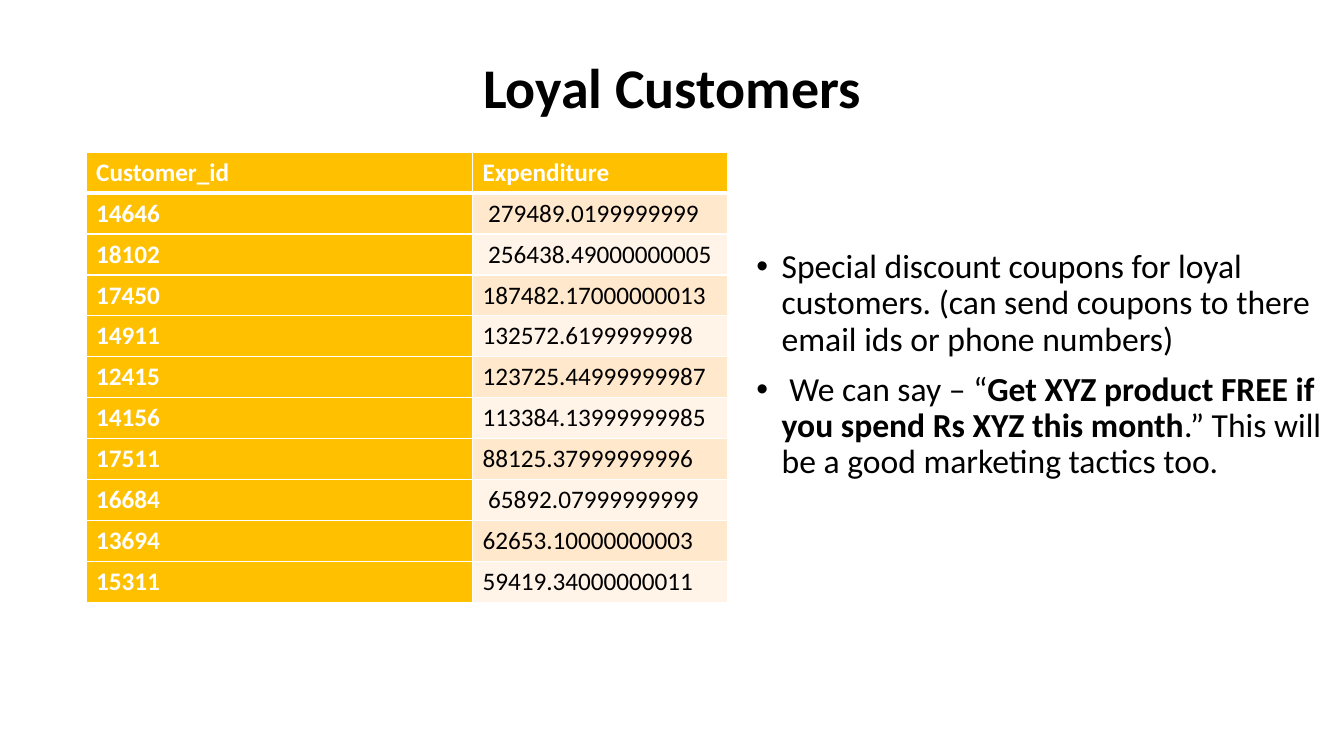
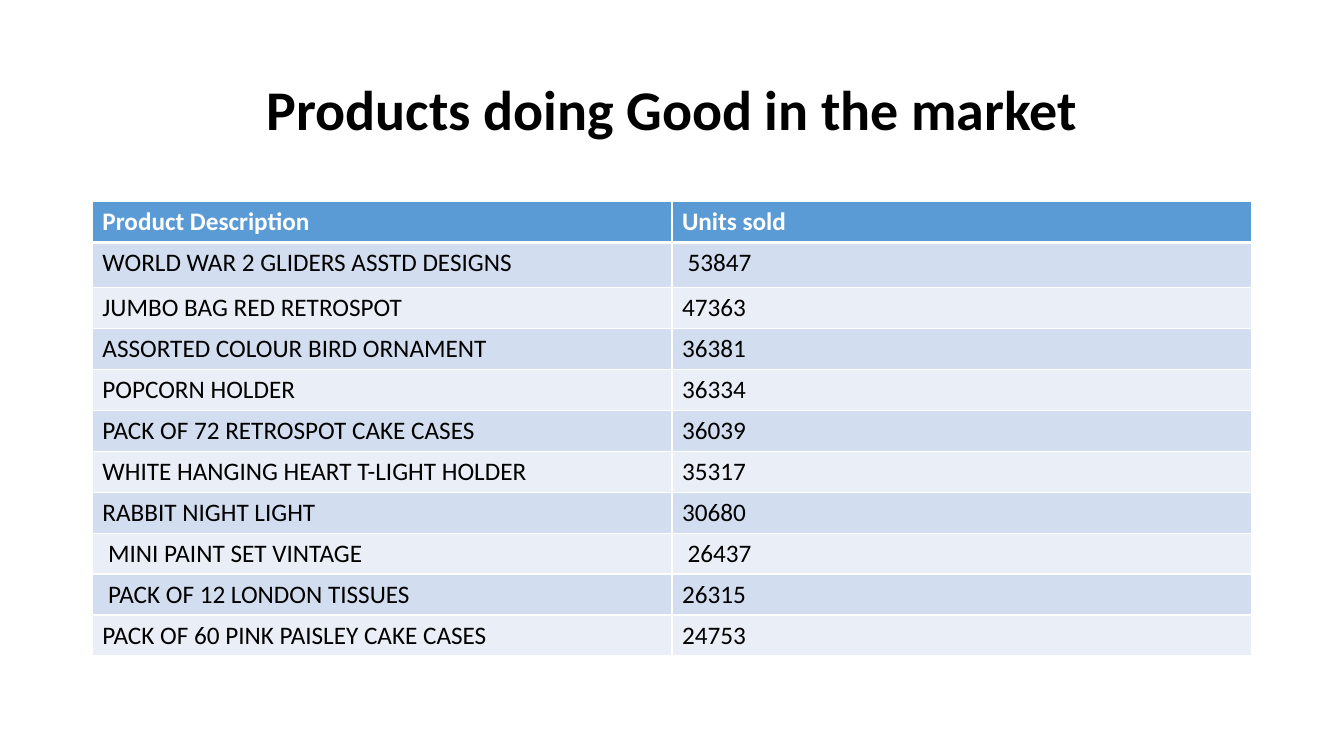
from dataclasses import dataclass

from lxml.etree import SubElement
from pptx import Presentation
from pptx.dml.color import RGBColor
from pptx.enum.text import MSO_ANCHOR as Anchor, MSO_AUTO_SIZE as AutoSize, PP_ALIGN as Align
from pptx.oxml.ns import qn
from pptx.slide import Slide
from pptx.table import _Cell as Cell
from pptx.text.text import _Paragraph as Paragraph
from pptx.util import Emu, Pt

# Shared scale, font and colours
EMU_PER_PX = 9525
FONT = "Calibri"
BLACK = RGBColor(0x00, 0x00, 0x00)
WHITE = RGBColor(0xFF, 0xFF, 0xFF)
GOLD = RGBColor(0xFF, 0xC0, 0x00)
PEACH = RGBColor(0xFF, 0xE8, 0xCC)
CREAM = RGBColor(0xFF, 0xF4, 0xE7)
BLUE = RGBColor(0x5B, 0x9B, 0xD5)
PALE_BLUE = RGBColor(0xD2, 0xDE, 0xEF)
ICE_BLUE = RGBColor(0xEA, 0xEF, 0xF7)

ROW_HEIGHT = 39
BULLET_INDENT = 24


@dataclass(frozen=True)
class Box:
    left: int
    top: int
    width: int
    height: int


@dataclass(frozen=True)
class Ranking:
    left: int
    top: int
    columns: tuple[int, int]
    header: tuple[str, str]
    entries: tuple[tuple[str, str], ...]
    accent: RGBColor
    bands: tuple[RGBColor, RGBColor]
    accent_first_column: bool = False
    first_entry_height: int = ROW_HEIGHT


CUSTOMERS = Ranking(
    82, 145, (368, 243), ("Customer_id", "Expenditure"),
    (
        ("14646", " 279489.0199999999"),
        ("18102", " 256438.49000000005"),
        ("17450", "187482.17000000013"),
        ("14911", "132572.6199999998"),
        ("12415", "123725.44999999987"),
        ("14156", "113384.13999999985"),
        ("17511", "88125.37999999996"),
        ("16684", " 65892.07999999999"),
        ("13694", "62653.10000000003"),
        ("15311", "59419.34000000011"),
    ),
    GOLD, (PEACH, CREAM), accent_first_column=True,
)

PRODUCTS = Ranking(
    88, 192, (552, 552), ("Product Description", "Units sold"),
    (
        ("WORLD WAR 2 GLIDERS ASSTD DESIGNS", " 53847"),
        ("JUMBO BAG RED RETROSPOT", "47363"),
        ("ASSORTED COLOUR BIRD ORNAMENT", "36381"),
        ("POPCORN HOLDER", "36334"),
        ("PACK OF 72 RETROSPOT CAKE CASES", "36039"),
        ("WHITE HANGING HEART T-LIGHT HOLDER", "35317"),
        ("RABBIT NIGHT LIGHT", "30680"),
        (" MINI PAINT SET VINTAGE", " 26437"),
        (" PACK OF 12 LONDON TISSUES", "26315"),
        ("PACK OF 60 PINK PAISLEY CAKE CASES", "24753"),
    ),
    BLUE, (PALE_BLUE, ICE_BLUE), first_entry_height=43,
)

# Each bullet is a row of (text, bold) pieces
OFFERS = (
    (("Special discount coupons for loyal customers. "
      "(can send coupons to there email ids or phone numbers)", False),),
    ((" We can say – “", False),
     ("Get XYZ product FREE if you spend Rs XYZ this month", True),
     (".” This will be a good marketing tactics too.", False)),
)


def px(length: int) -> Emu:
    return Emu(length * EMU_PER_PX)


def add_run(paragraph: Paragraph, text: str, size: int, bold: bool,
            color: RGBColor = BLACK) -> None:
    run = paragraph.add_run()
    run.text = text
    for attribute, value in {"name": FONT, "size": Pt(size), "bold": bold}.items():
        setattr(run.font, attribute, value)
    run.font.color.rgb = color


def add_text_frame(slide: Slide, box: Box, anchor: Anchor, auto_size: AutoSize):
    frame = slide.shapes.add_textbox(
        px(box.left), px(box.top), px(box.width), px(box.height)).text_frame
    settings = {"word_wrap": True, "vertical_anchor": anchor, "auto_size": auto_size}
    for attribute, value in settings.items():
        setattr(frame, attribute, value)
    return frame


def add_title(slide: Slide, text: str, top: int) -> None:
    frame = add_text_frame(slide, Box(88, top, 1104, 139), Anchor.MIDDLE, AutoSize.NONE)
    heading = frame.paragraphs[0]
    heading.alignment = Align.CENTER
    heading.line_spacing = 0.9
    add_run(heading, text, 40, True)


def add_bullets(slide: Slide, box: Box) -> None:
    frame = add_text_frame(slide, box, Anchor.TOP, AutoSize.SHAPE_TO_FIT_TEXT)
    for index, pieces in enumerate(OFFERS):
        offer = frame.add_paragraph() if index else frame.paragraphs[0]
        offer.line_spacing = 0.9
        offer.space_before = Pt(10)
        properties = offer._p.get_or_add_pPr()
        properties.set("marL", str(px(BULLET_INDENT)))
        properties.set("indent", str(-px(BULLET_INDENT)))
        SubElement(properties, qn("a:buFont"), typeface="Arial")
        SubElement(properties, qn("a:buChar"), char="•")
        for text, bold in pieces:
            add_run(offer, text, 24, bold)


def add_borders(cell: Cell, row: int) -> None:
    # The rule between header and entries is thicker than the rest
    widths = {"L": 1, "R": 1, "T": 3 if row == 1 else 1, "B": 3 if row == 0 else 1}
    properties = cell._tc.get_or_add_tcPr()
    for side, width in widths.items():
        line = SubElement(properties, qn(f"a:ln{side}"), w=str(Pt(width)))
        fill = SubElement(line, qn("a:solidFill"))
        SubElement(fill, qn("a:srgbClr"), val=str(WHITE))


def add_ranking(slide: Slide, ranking: Ranking) -> None:
    rows = (ranking.header, *ranking.entries)
    heights = [ROW_HEIGHT] * len(rows)
    heights[1] = ranking.first_entry_height
    table = slide.shapes.add_table(
        len(rows), len(ranking.columns), px(ranking.left), px(ranking.top),
        px(sum(ranking.columns)), px(sum(heights))).table
    table.first_row = table.horz_banding = False
    for column, width in zip(table.columns, ranking.columns):
        column.width = px(width)
    for row, (texts, height) in enumerate(zip(rows, heights)):
        table.rows[row].height = px(height)
        for column, text in enumerate(texts):
            cell = table.cell(row, column)
            accented = row == 0 or (column == 0 and ranking.accent_first_column)
            add_borders(cell, row)
            cell.fill.solid()
            cell.fill.fore_color.rgb = (
                ranking.accent if accented else ranking.bands[(row - 1) % 2])
            add_run(cell.text_frame.paragraphs[0], text, 18, accented,
                    WHITE if accented else BLACK)


def main() -> None:
    deck = Presentation()
    deck.slide_width, deck.slide_height = px(1280), px(720)
    blank = deck.slide_layouts[6]

    # Loyal customers
    customers = deck.slides.add_slide(blank)
    add_title(customers, "Loyal Customers", 17)
    add_ranking(customers, CUSTOMERS)
    add_bullets(customers, Box(711, 233, 569, 232))

    # Best-selling products
    products = deck.slides.add_slide(blank)
    add_title(products, "Products doing Good in the market", 38)
    add_ranking(products, PRODUCTS)

    deck.save("out.pptx")


if __name__ == "__main__":
    main()
